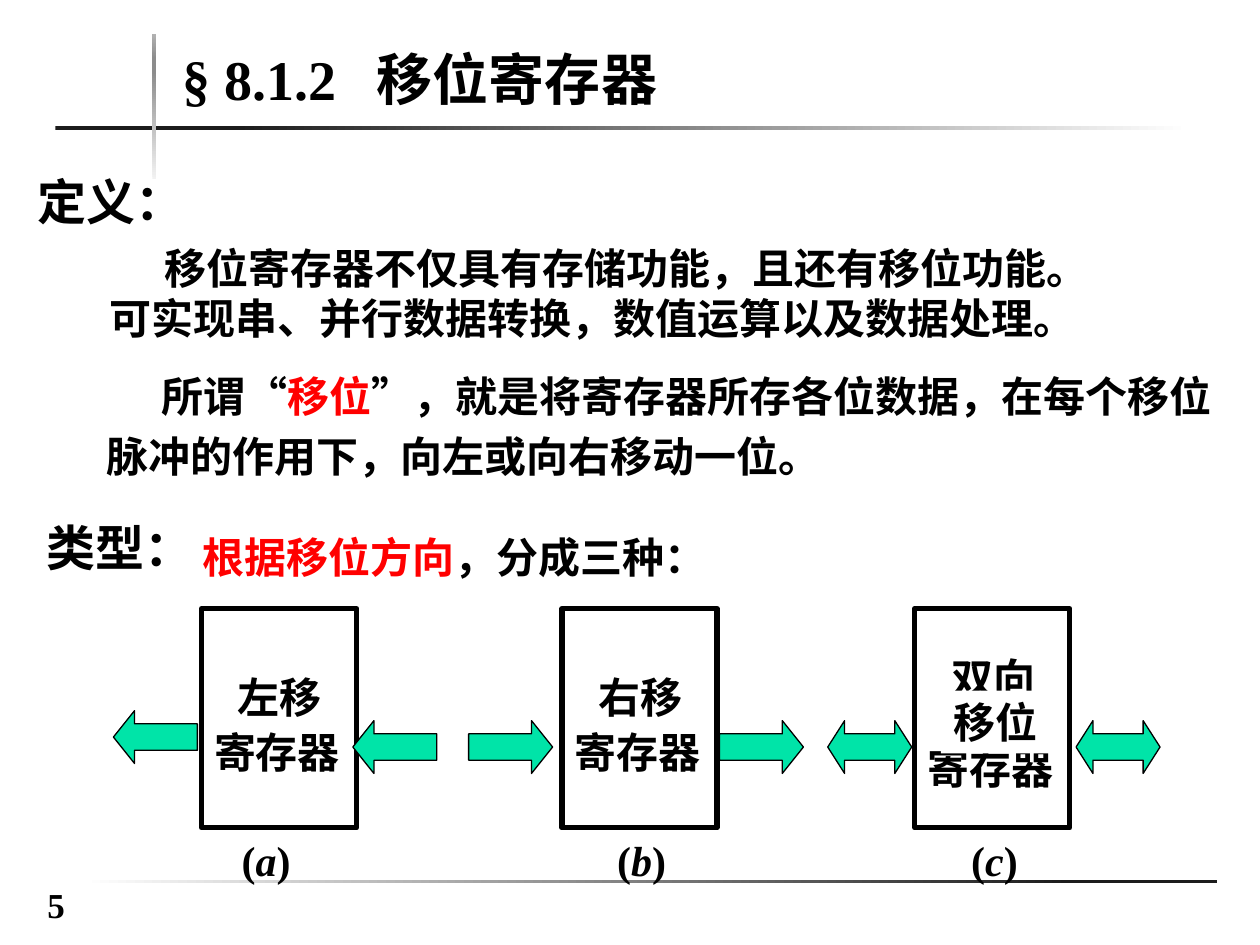
from copy import deepcopy
from dataclasses import dataclass

from pptx import Presentation
from pptx.dml.color import RGBColor
from pptx.enum import shapes, text
from pptx.util import Pt

FONT = "Times New Roman"
BLACK = RGBColor(0x00, 0x00, 0x00)
WHITE = RGBColor(0xFF, 0xFF, 0xFF)
RED = RGBColor(0xFF, 0x00, 0x00)
GREEN = RGBColor(0x00, 0xE4, 0xA8)
INK = RGBColor(0x1C, 0x1C, 0x1C)
GREY = RGBColor(0x8C, 0x8C, 0x8C)
SILVER = RGBColor(0xB2, 0xB2, 0xB2)
MIST = RGBColor(0xF2, 0xF2, 0xF2)
RECT = shapes.MSO_SHAPE.RECTANGLE
LEFT = shapes.MSO_SHAPE.LEFT_ARROW
RIGHT = shapes.MSO_SHAPE.RIGHT_ARROW
BOTH = shapes.MSO_SHAPE.LEFT_RIGHT_ARROW


@dataclass(frozen=True)
class Run:
    text: str
    color: RGBColor = BLACK
    italic: bool = False


@dataclass(frozen=True)
class Bar:
    left: float
    top: float
    width: float
    height: float
    angle: int
    stops: tuple[tuple[float, RGBColor], ...]


@dataclass(frozen=True)
class Note:
    left: float
    top: float
    width: float
    height: float
    size: float
    runs: tuple[Run, ...]
    indent: float = 0
    spacing: float = 1.0
    anchor: text.MSO_ANCHOR = text.MSO_ANCHOR.TOP


@dataclass(frozen=True)
class Register:
    """A register box; word tops are absolute, caption_dx is from the box."""
    left: float
    direction: str
    direction_top: float
    name_top: float
    letter: str
    caption_dx: float
    middle: str = ""


@dataclass(frozen=True)
class Arrow:
    kind: shapes.MSO_SHAPE
    left: float
    head: float
    top: float = 411.8


BARS = (
    Bar(47.5, 502.6, 648, 2.2, 0, ((0, WHITE), (0.87, INK))),
    Bar(31.7, 72, 648, 2.2, 0, ((0.16, INK), (1, WHITE))),
    Bar(87.1, 19.4, 2.2, 82.8, 90,
        ((0, MIST), (0.74, GREY), (0.83, GREY), (1, SILVER))),
)
NOTES = (
    Note(55.4, 131.8, 585.4, 70.6, 24,
         (Run("移位寄存器不仅具有存储功能，且还有移位功能。"
              "可实现串、并行数据转换，数值运算以及数据处理。"),),
         indent=31.5, anchor=text.MSO_ANCHOR.MIDDLE),
    Note(54, 202.3, 648, 79.2, 24,
         (Run("所谓“"), Run("移位", RED),
          Run("”，就是将寄存器所存各位数据，在每个移位脉冲的作用下，向左或向右移动一位。")),
         indent=31.5, spacing=1.2),
    Note(14.4, 94.3, 198.7, 41, 28, (Run("定义："),)),
    Note(19.4, 292.3, 147.6, 41, 28, (Run("类型："),)),
    Note(108.7, 294.5, 326.2, 38.9, 24,
         (Run("根据移位方向", RED), Run("，分成三种：")), spacing=1.2),
)
REGISTERS = (
    Register(115.2, "左移", 380.2, 411.8, "a", 15.8),
    Register(321.1, "右移", 380.2, 411.8, "b", 24.5),
    Register(522.7, "双向", 369.4, 420.5, "c", 25.2, middle="移位"),
)
ARROWS = (
    Arrow(BOTH, 473, 0.32), Arrow(BOTH, 614.9, 0.32),
    Arrow(RIGHT, 411.1, 0.4), Arrow(RIGHT, 267.8, 0.4),
    Arrow(LEFT, 201.6, 0.4), Arrow(LEFT, 64.8, 0.4, top=406.1),
)


def format_run(r, size: float, color: RGBColor = BLACK, italic: bool = False) -> None:
    f = r.font
    f.name, f.size, f.bold, f.italic = FONT, Pt(size), True, italic
    f.color.rgb = color


def add_text(parent, note: Note):
    tb = parent.add_textbox(*map(Pt, (note.left, note.top, note.width, note.height)))
    tf = tb.text_frame
    tf.word_wrap = True
    tf.vertical_anchor = note.anchor
    p = tf.paragraphs[0]
    p.line_spacing = note.spacing
    if note.indent:
        p._p.get_or_add_pPr().set("indent", str(Pt(note.indent)))
    for run in note.runs:
        r = p.add_run()
        r.text = run.text
        format_run(r, note.size, run.color, run.italic)
    return tb


def add_shape(parent, kind, left, top, width, height, color=None, line=0.0):
    s = parent.add_shape(kind, *map(Pt, (left, top, width, height)))
    s.shadow.inherit = False
    if color is not None:
        s.fill.solid()
        s.fill.fore_color.rgb = color
    if line:
        s.line.color.rgb = BLACK
        s.line.width = Pt(line)
    else:
        s.line.fill.background()
    return s


def add_bar(parent, bar: Bar) -> None:
    s = add_shape(parent, RECT, bar.left, bar.top, bar.width, bar.height)
    s.fill.gradient()
    s.fill.gradient_angle = bar.angle
    gs_lst = s._element.spPr.find(".//{*}gsLst")
    while len(gs_lst) < len(bar.stops):
        gs_lst.append(deepcopy(gs_lst[-1]))
    for stop, (position, color) in zip(s.fill.gradient_stops, bar.stops):
        stop.position = position
        stop.color.rgb = color


def add_register(parent, reg: Register) -> None:
    group = parent.add_group_shape().shapes
    add_shape(group, RECT, reg.left, 347.8, 88.6, 125.3, WHITE, 3)
    add_text(group, Note(reg.left, reg.name_top, 92.2, 36, 24, (Run("寄存器"),)))
    add_text(group, Note(reg.left + 13.7, reg.direction_top, 74.9, 36, 24,
                         (Run(reg.direction),)))
    if reg.middle:
        tb = add_text(group, Note(reg.left + 15, 394.6, 70.6, 36, 24,
                                  (Run(reg.middle),)))
        tb.fill.solid()
        tb.fill.fore_color.rgb = WHITE
    add_text(group, Note(reg.left + reg.caption_dx, 473.4, 56.9, 36, 24,
                         (Run("("), Run(reg.letter, italic=True), Run(")"))))


def set_title(s) -> None:
    s.left, s.top, s.width, s.height = map(Pt, (97.2, 13, 342, 54.7))
    tf = s.text_frame
    tf.auto_size = text.MSO_AUTO_SIZE.NONE
    tf.vertical_anchor = text.MSO_ANCHOR.BOTTOM
    tf.text = "§ 8.1.2\t移位寄存器"
    p = tf.paragraphs[0]
    p.alignment = text.PP_ALIGN.LEFT
    pPr = p._p.get_or_add_pPr()
    tabs = pPr.makeelement(pPr.tag.replace("pPr", "tabLst"), {})
    tabs.append(pPr.makeelement(pPr.tag.replace("pPr", "tab"),
                                {"pos": str(Pt(111)), "algn": "l"}))
    pPr.append(tabs)
    for r in p.runs:
        format_run(r, 32)


def main() -> None:
    prs = Presentation()
    prs.slide_width, prs.slide_height = Pt(720), Pt(540)
    slide = prs.slides.add_slide(prs.slide_layouts[5])
    sp = slide.shapes
    set_title(sp.title)
    for bar in BARS:
        add_bar(sp, bar)
    number = add_text(sp, Note(0, 501.1, 64.1, 27.4, 20, (Run("5"),)))
    number.text_frame.paragraphs[0].alignment = text.PP_ALIGN.CENTER
    for reg in REGISTERS:
        add_register(sp, reg)
    for arrow in ARROWS:
        s = add_shape(sp, arrow.kind, arrow.left, arrow.top, 48, 30.2, GREEN, 0.75)
        s.adjustments[0], s.adjustments[1] = 0.5, arrow.head
    for note in NOTES:
        add_text(sp, note)
    prs.save("out.pptx")


if __name__ == "__main__":
    main()
